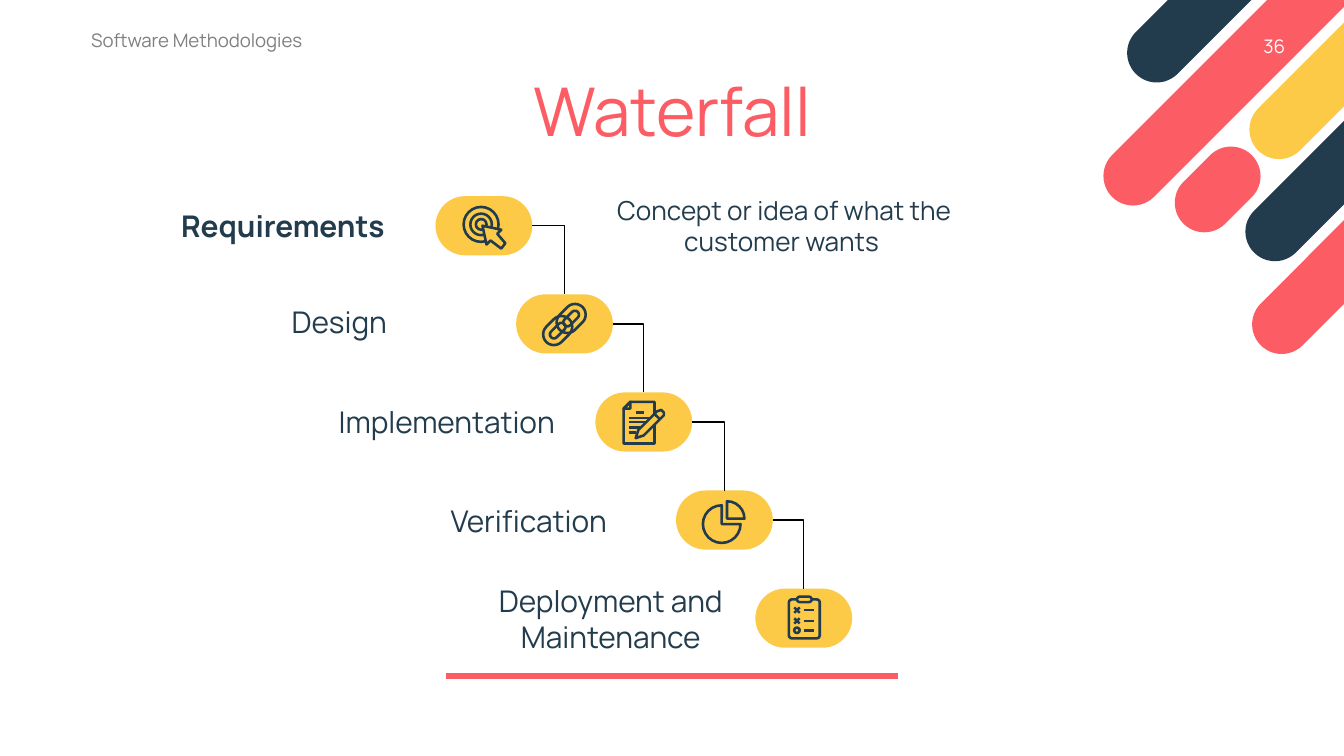
from collections import namedtuple
from dataclasses import dataclass

from lxml import etree
from pptx import Presentation
from pptx import util as u
from pptx.dml import color as c
from pptx.enum import shapes, text
from pptx.oxml import ns

SCALE = 9144
KIND = shapes.MSO_SHAPE
ALIGN = text.PP_ALIGN
Box = namedtuple("Box", "left top width height")


@dataclass(frozen=True)
class Theme:
    """Colours, font and type sizes of the deck."""
    navy: str = "233C4D"
    coral: str = "FC5C64"
    yellow: str = "FCCA46"
    grey: str = "808080"
    black: str = "000000"
    white: str = "FFFFFF"
    font: str = "Manrope"
    title: int = 36
    label: int = 16
    body: int = 14
    small: int = 10
    icon_line: float = 1.4
    link_line: float = 0.75
    rule_line: float = 3


THEME = Theme()


def px(value):
    """Turn a length in px into EMU."""
    return u.Emu(value * SCALE)


def place(box):
    """Turn a box in px into four EMU lengths."""
    return [px(value) for value in box]


def inside(box, left, top, width, height):
    """Return a box placed relative to another one."""
    return Box(box.left + left, box.top + top, width, height)


def paint(shape, fill=None, line=None):
    """Set the fill and the outline of a shape."""
    shape.shadow.inherit = False
    if fill:
        shape.fill.solid()
        shape.fill.fore_color.rgb = c.RGBColor.from_string(fill)
    else:
        shape.fill.background()
    if line:
        shape.line.color.rgb = c.RGBColor.from_string(line)
        shape.line.width = u.Pt(THEME.icon_line)
    else:
        shape.line.fill.background()
    return shape


def add_form(page, kind, box, fill=None, line=None, rotation=0, adjust=()):
    """Add a preset shape."""
    shape = page.shapes.add_shape(kind, *place(box))
    shape.rotation = rotation
    for index, value in enumerate(adjust):
        shape.adjustments[index] = value
    return paint(shape, fill, line)


def add_pill(page, box, fill=None, line=None, rotation=0):
    """Add a fully rounded bar."""
    return add_form(page, KIND.ROUNDED_RECTANGLE, box, fill, line, rotation, [0.5])


def add_line(page, start, end, color, width, kind=shapes.MSO_CONNECTOR.STRAIGHT):
    """Add a connector without a shadow."""
    line = page.shapes.add_connector(kind, *place(start + end))
    line.line.color.rgb = c.RGBColor.from_string(color)
    line.line.width = u.Pt(width)
    etree.SubElement(line._element.spPr, ns.qn("a:effectLst"))
    return line


def add_stroke(page, box, start, end):
    """Add one icon stroke relative to its pill."""
    points = [(box.left + x, box.top + y) for x, y in (start, end)]
    return add_line(page, *points, THEME.navy, THEME.icon_line)


def add_outline(page, box, points, fill=None):
    """Add a closed icon outline relative to its pill."""
    points = [(box.left + x, box.top + y) for x, y in points]
    builder = page.shapes.build_freeform(*points[0], scale=SCALE)
    builder.add_line_segments(points[1:], close=True)
    return paint(builder.convert_to_shape(), fill, THEME.navy)


def write(shape, words, size, color, align=ALIGN.CENTER, bold=False, inset=10):
    """Fill a shape with one formatted paragraph."""
    frame = shape.text_frame
    frame.word_wrap = True
    frame.vertical_anchor = text.MSO_ANCHOR.MIDDLE
    frame.margin_left = frame.margin_right = px(10)
    frame.margin_top = frame.margin_bottom = px(inset)
    frame.text = words
    para = frame.paragraphs[0]
    para.alignment = align
    span = para.runs[0]
    span.font.name = THEME.font
    span.font.size = u.Pt(size)
    span.font.bold = bold
    span.font.color.rgb = c.RGBColor.from_string(color)
    return para


def add_words(page, box, *args, **options):
    """Add a text box."""
    return write(page.shapes.add_textbox(*place(box)), *args, **options)


def draw_target(page, box):
    """Draw rings under a pointer."""
    for radius in (13, 8, 4):
        ring = inside(box, 34 - radius, 21 - radius, 2 * radius, 2 * radius)
        add_form(page, KIND.OVAL, ring, line=THEME.navy)
    pointer = [(35, 22), (49, 25), (46, 28), (52, 35), (49, 39), (41, 33), (38, 36)]
    add_outline(page, box, pointer, THEME.yellow)


def draw_chain(page, box):
    """Draw two linked rings on a diagonal."""
    for x, y in ((41, 18), (31, 27)):
        for width, height in ((24, 16), (14, 6)):
            link = inside(box, x - width // 2, y - height // 2, width, height)
            add_pill(page, link, line=THEME.navy, rotation=315)


def draw_document(page, box):
    """Draw a written sheet with a pencil."""
    add_outline(page, box, [(21, 12), (26, 7), (44, 7), (44, 38), (21, 38)])
    add_outline(page, box, [(26, 7), (26, 12), (21, 12)])
    for start, end, y in ((30, 36, 15), (25, 40, 19), (25, 38, 22), (25, 34, 26), (25, 30, 30)):
        add_stroke(page, box, (start, y), (end, y))
    pencil = [(30, 34), (32, 28), (46, 14), (49, 13), (51, 15), (51, 17), (36, 32)]
    add_outline(page, box, pencil, THEME.yellow)
    add_stroke(page, box, (44, 16), (48, 20))


def draw_pie(page, box):
    """Draw a pie with one quarter pulled out."""
    add_form(page, KIND.PIE, inside(box, 20, 11, 28, 28), line=THEME.navy, adjust=[0, 162])
    add_form(page, KIND.PIE, inside(box, 25, 8, 26, 26), line=THEME.navy, adjust=[162, 0])


def draw_checklist(page, box):
    """Draw a clipboard with three marked rows."""
    board = inside(box, 25, 8, 23, 29)
    add_form(page, KIND.ROUNDED_RECTANGLE, board, line=THEME.navy, adjust=[0.1])
    add_pill(page, inside(box, 31, 6, 11, 4), THEME.yellow, THEME.navy)
    for y in (16, 24, 31):
        add_stroke(page, box, (36, y), (44, y))
    for y in (16, 24):
        add_stroke(page, box, (29, y - 2), (33, y + 2))
        add_stroke(page, box, (29, y + 2), (33, y - 2))
    add_form(page, KIND.OVAL, inside(box, 29, 29, 4, 4), line=THEME.navy)


def add_corner(page, box):
    """Add the diagonal bars of the top right corner."""
    bars = [(29, 0, 178, THEME.navy), (0, 64, 256, THEME.coral), (120, 57, 178, THEME.yellow),
            (80, 149, 72, THEME.coral), (117, 133, 178, THEME.navy), (122, 202, 178, THEME.coral)]
    for left, top, width, color in bars:
        add_pill(page, inside(box, left, top, width, 44), color, rotation=315)


def add_header(page, box):
    """Add the running head, the page number and the title."""
    add_words(page, inside(box, 0, 0, 222, 31), "Software Methodologies", THEME.small,
              THEME.grey, ALIGN.LEFT)
    add_words(page, inside(box, 861, 9, 47, 22), "36", THEME.small, THEME.white,
              ALIGN.RIGHT, inset=5)
    title = page.shapes.title
    title.left, title.top, title.width, title.height = place(inside(box, 21, 35, 843, 73))
    write(title, "Waterfall", THEME.title, THEME.coral).line_spacing = 0.9


def add_steps(page, box):
    """Add the staircase of phases with its labels and links."""
    steps = [("Requirements", 0, 0, draw_target), ("Design", 42, 71, draw_chain),
             ("Implementation", 122, 146, draw_document), ("Verification", 183, 219, draw_pie),
             ("Deployment and Maintenance", 244, 292, draw_checklist)]
    previous = None
    for index, (label, left, top, draw_icon) in enumerate(steps):
        add_words(page, inside(box, left, top, 263, 48), label, THEME.label, THEME.navy,
                  bold=index == 0)
        spot = inside(box, 245 + (119 * index + 1) // 2, 2 + 73 * index, 72, 44)
        pill = add_pill(page, spot, THEME.yellow)
        draw_icon(page, spot)
        if previous:
            link = add_line(page, (0, 0), (0, 0), THEME.black, THEME.link_line,
                            shapes.MSO_CONNECTOR.ELBOW)
            link.begin_connect(previous, 3)
            link.end_connect(pill, 0)
            link._element.spPr.find(ns.qn("a:prstGeom")).set("prst", "bentConnector2")
        previous = pill
    add_words(page, inside(box, 350, 0, 309, 48), "Concept or idea of what the customer wants ",
              THEME.body, THEME.navy)


def main():
    """Build the deck."""
    deck = Presentation()
    deck.slide_width = px(1000)
    deck.slide_height = deck.slide_width * 9 // 16
    page = deck.slides.add_slide(deck.slide_layouts[5])
    add_corner(page, Box(790, -30, 300, 246))
    add_line(page, (332, 503), (668, 503), THEME.coral, THEME.rule_line)
    add_header(page, Box(58, 14, 908, 108))
    add_steps(page, Box(79, 144, 659, 340))
    deck.save("out.pptx")


if __name__ == "__main__":
    main()
